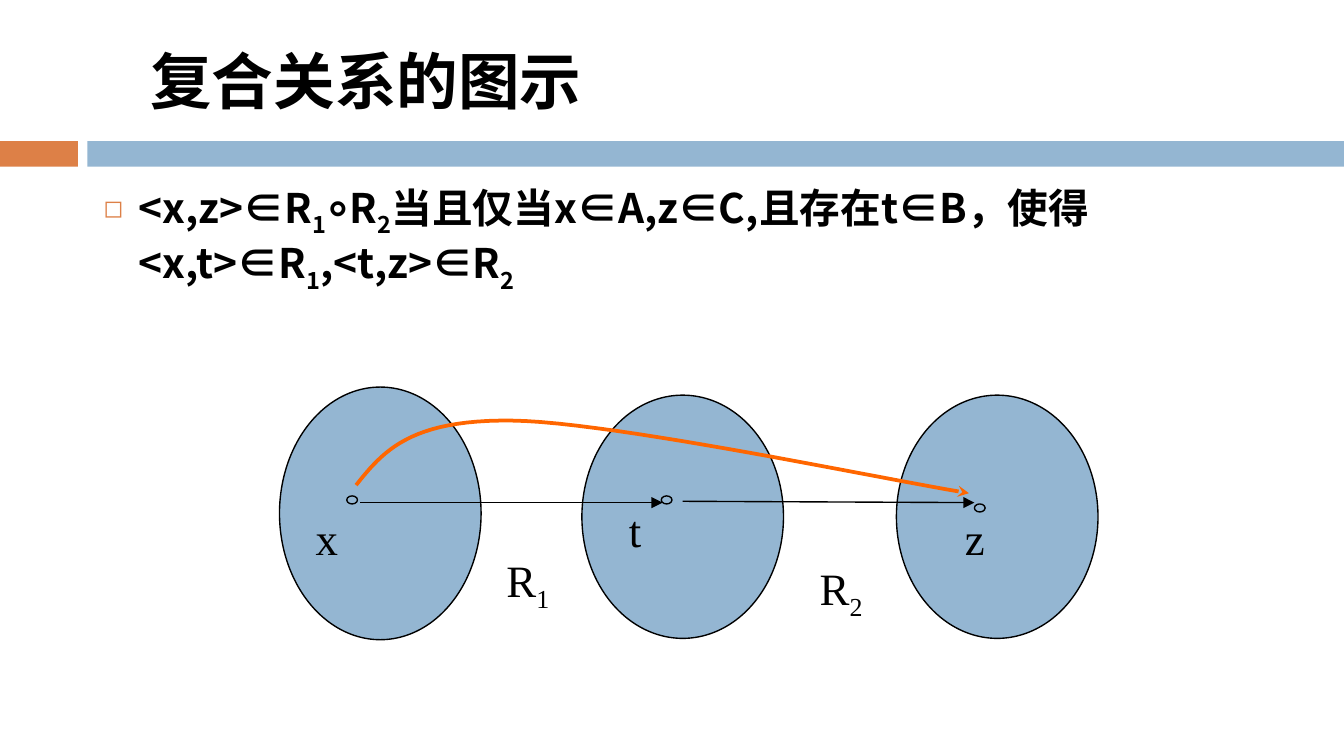
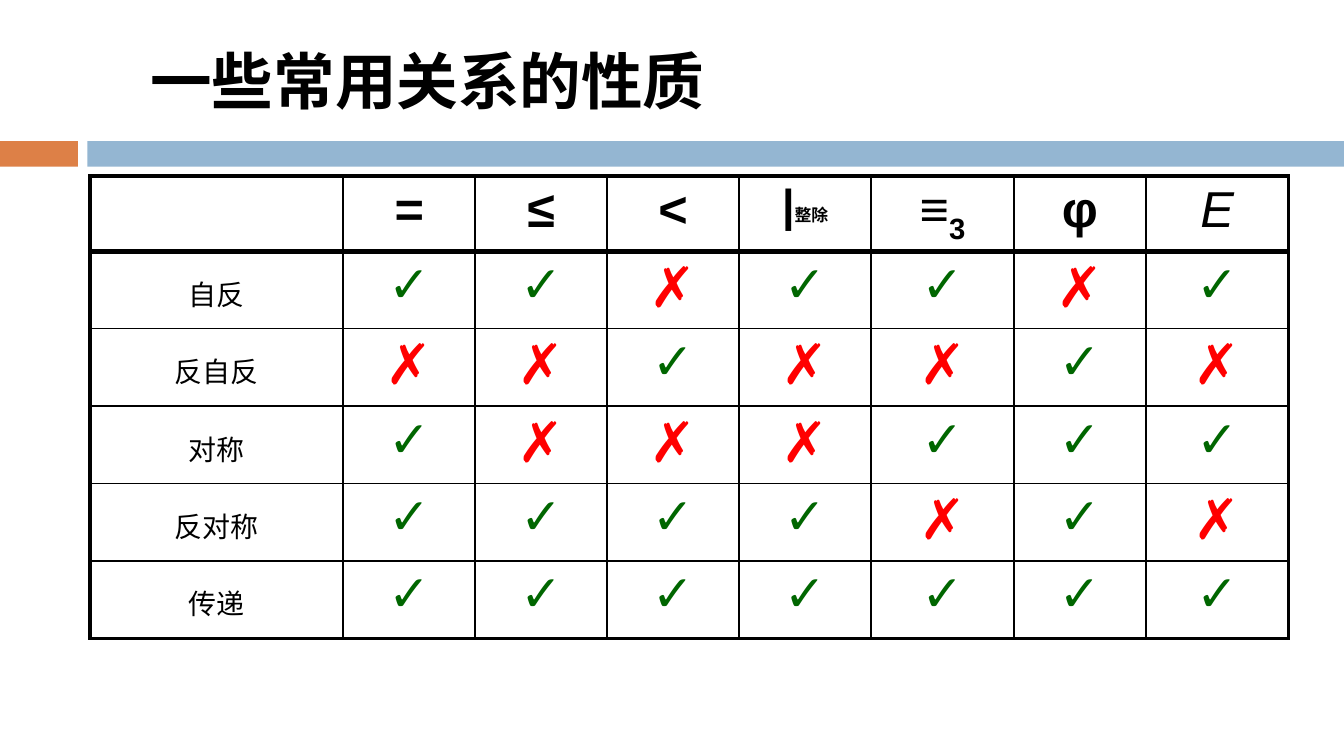
from dataclasses import dataclass

from lxml import etree
from pptx import Presentation
from pptx.dml.color import RGBColor
from pptx.enum.shapes import MSO_CONNECTOR, MSO_SHAPE
from pptx.enum.text import MSO_ANCHOR, MSO_AUTO_SIZE, PP_ALIGN
from pptx.oxml.ns import qn
from pptx.util import Inches, Pt

RECTANGLE, ELLIPSE = MSO_SHAPE.RECTANGLE, MSO_SHAPE.OVAL
STRAIGHT = MSO_CONNECTOR.STRAIGHT
TOP, MIDDLE = MSO_ANCHOR.TOP, MSO_ANCHOR.MIDDLE
LEFT, CENTER = PP_ALIGN.LEFT, PP_ALIGN.CENTER
GROW, FIXED = MSO_AUTO_SIZE.SHAPE_TO_FIT_TEXT, MSO_AUTO_SIZE.NONE


@dataclass(frozen=True)
class Theme:
    """Colours, fonts, type sizes and line widths of the deck."""
    ink: str = "000000"
    blue: str = "94B6D2"
    orange: str = "DD8047"
    curve: str = "FF6600"
    yes: str = "006600"
    no: str = "FF0000"
    heading_font: str = "Noto Sans CJK SC"
    label_font: str = "Times New Roman"
    table_font: str = "Arial"
    title: float = 33
    body: float = 21.8
    label: float = 24
    symbol: float = 27
    divides: float = 24
    note: float = 9
    row_name: float = 15
    cross: float = 30
    thin: float = 0.75
    curve_width: float = 2
    grid: float = 1
    frame: float = 2.25
    header_rule: float = 3


THEME = Theme()

SLIDE_WIDTH = 10
HEADERS = ["=", "≤", "<", "|", "≡_3", "φ", "E"]
PROPERTIES = [
    ("自反", "✓✓✗✓✓✗✓"),
    ("反自反", "✗✗✓✗✗✓✗"),
    ("对称", "✓✗✗✗✓✓✓"),
    ("反对称", "✓✓✓✓✗✓✗"),
    ("传递", "✓✓✓✓✓✓✓"),
]
COLUMN_WEIGHTS = [1.88, 0.98, 0.98, 0.98, 0.98, 1.06, 0.98, 1.06]
TABLE_WIDTH, TABLE_HEIGHT, HEADER_HEIGHT = 8.92, 3.42, 0.54


def inches(*lengths):
    """Turn numbers into lengths."""
    return [Inches(length) for length in lengths]


def style_span(span, font, size, color, bold=False, italic=False, east_font=None):
    """Set the type of one run for Latin and East Asian text."""
    span.font.name = font
    span.font.size = Pt(size)
    span.font.bold = bold
    span.font.italic = italic
    span.font.color.rgb = RGBColor.from_string(color)
    latin = span.font._element.find(qn("a:latin"))
    latin.addnext(latin.makeelement(qn("a:ea"), {"typeface": east_font or font}))


def write(para, text, font, size, color=THEME.ink, **style):
    """Add text in which underscores enclose subscripts."""
    for index, piece in enumerate(text.split("_")):
        if piece:
            span = para.add_run()
            span.text = piece
            style_span(span, font, size, color, **style)
            if index % 2:
                span.font._element.set("baseline", "-25000")


def space_before(para, percent):
    """Set the space above a paragraph as a share of its line."""
    props = para._p.get_or_add_pPr()
    space = props.makeelement(qn("a:spcBef"), {})
    etree.SubElement(space, qn("a:spcPct"), val=str(percent * 1000))
    props.insert(0, space)


def add_text_box(page, left, top, width, height, anchor=TOP, fit=FIXED):
    """Add a wrapping text box and return its first paragraph."""
    frame = page.shapes.add_textbox(*inches(left, top, width, height)).text_frame
    frame.word_wrap = True
    frame.auto_size = fit
    frame.vertical_anchor = anchor
    return frame.paragraphs[0]


def add_filled_shape(page, kind, left, top, width, height, fill, outlined=False):
    """Add a flat preset shape with an optional thin outline."""
    shape = page.shapes.add_shape(kind, *inches(left, top, width, height))
    shape.shadow.inherit = False
    shape.fill.solid()
    shape.fill.fore_color.rgb = RGBColor.from_string(fill)
    if outlined:
        style_line(shape.line, THEME.ink, THEME.thin)
    else:
        shape.line.fill.background()


def style_line(line, color, width, arrow=None):
    """Set colour, width and the arrowhead at the end of a line."""
    line.color.rgb = RGBColor.from_string(color)
    line.width = Pt(width)
    if arrow:
        etree.SubElement(line._get_or_add_ln(), qn("a:tailEnd"), type=arrow)


def add_page(deck, title):
    """Add a page with the two bands and a title."""
    page = deck.slides.add_slide(deck.slide_layouts[6])
    add_filled_shape(page, RECTANGLE, 0, 1.05, 0.58, 0.19, THEME.orange)
    add_filled_shape(page, RECTANGLE, 0.65, 1.05, 9.35, 0.19, THEME.blue)
    para = add_text_box(page, 1.02, 0.19, 8, 0.81, anchor=MIDDLE)
    write(para, title, THEME.heading_font, THEME.title, bold=True)
    return page


def add_bullet(page, text):
    """Add the body text with a hollow square bullet."""
    para = add_text_box(page, 0.67, 1.31, 8.92, 3.69)
    para.alignment = LEFT
    para.space_before = Pt(5.2)
    props = para._p.get_or_add_pPr()
    props.set("marL", str(Inches(0.26)))
    props.set("indent", str(-Inches(0.26)))
    color = etree.SubElement(props, qn("a:buClr"))
    etree.SubElement(color, qn("a:srgbClr"), val=THEME.orange)
    etree.SubElement(props, qn("a:buSzPct"), val="60000")
    etree.SubElement(props, qn("a:buChar"), char="◻")
    write(para, text, THEME.heading_font, THEME.body, bold=True)


def add_label(page, text, left, top, width=0.58):
    """Add a label of the diagram."""
    para = add_text_box(page, left, top, width, 0.51, fit=GROW)
    space_before(para, 50)
    write(para, text, THEME.label_font, THEME.label)


def add_arrow(page, start, end):
    """Add a thin straight arrow."""
    arrow = page.shapes.add_connector(STRAIGHT, *inches(*start, *end))
    style_line(arrow.line, THEME.ink, THEME.thin, "triangle")
    etree.SubElement(arrow._element.spPr, qn("a:effectLst"))


def bezier(points, steps=24):
    """Return points along a cubic curve, without its start."""
    weights = (1, 3, 3, 1)
    return [
        inches(*(
            sum(weight * (1 - t) ** (3 - power) * t ** power * point[axis]
                for power, (weight, point) in enumerate(zip(weights, points)))
            for axis in (0, 1)
        ))
        for t in (step / steps for step in range(1, steps + 1))
    ]


def add_curve(page, start, *segments):
    """Add a curved arrow made of joined cubic segments."""
    builder = page.shapes.build_freeform(*inches(*start))
    for segment in segments:
        builder.add_line_segments(bezier((start, *segment)), close=False)
        start = segment[-1]
    curve = builder.convert_to_shape()
    curve.shadow.inherit = False
    curve.fill.background()
    style_line(curve.line, THEME.curve, THEME.curve_width, "stealth")


def set_borders(cell, **widths):
    """Draw the four borders of a cell at the given widths."""
    props = cell._tc.get_or_add_tcPr()
    for index, side in enumerate("LRTB"):
        line = props.makeelement(qn("a:ln" + side), {"w": str(Pt(widths[side]))})
        fill = etree.SubElement(line, qn("a:solidFill"))
        etree.SubElement(fill, qn("a:srgbClr"), val=THEME.ink)
        props.insert(index, line)


def format_cell(cell, row, column, last_row, last_column):
    """Set fill, insets and borders by the place of a cell."""
    cell.fill.background()
    cell.margin_left = cell.margin_right = Inches(0.11)
    cell.margin_top = Inches(0.16 if row and not column else 0.04)
    cell.margin_bottom = Inches(0.04)
    above = {0: THEME.frame, 1: THEME.header_rule}
    below = {0: THEME.header_rule, last_row: THEME.frame}
    set_borders(
        cell,
        L=THEME.grid if column else THEME.frame,
        R=THEME.frame if column == last_column else THEME.grid,
        T=above.get(row, THEME.grid),
        B=below.get(row, THEME.grid),
    )


def write_cell(cell, text, size, percent, color=THEME.ink, **style):
    """Write centred text into a cell and return its paragraph."""
    para = cell.text_frame.paragraphs[0]
    para.alignment = CENTER
    space_before(para, percent)
    write(para, text, THEME.table_font, size, color, **style)
    return para


def write_header(cell, text):
    """Write a relation symbol into the header row."""
    size = THEME.divides if text == "|" else THEME.symbol
    para = write_cell(cell, text, size, 170, bold=text != "E", italic=text == "E")
    if text == "|":
        write(para, "整除", THEME.table_font, THEME.note, bold=True)


def write_mark(cell, mark):
    """Write a green tick or a red cross."""
    size, color = {
        "✓": (THEME.symbol, THEME.yes),
        "✗": (THEME.cross, THEME.no),
    }[mark]
    write_cell(cell, mark, size, 20, color, bold=True)


def add_property_table(page):
    """Add the table of relations and their properties."""
    rows, columns = len(PROPERTIES) + 1, len(COLUMN_WEIGHTS)
    table = page.shapes.add_table(
        rows, columns, *inches(0.67, 1.31, TABLE_WIDTH, TABLE_HEIGHT)).table
    table.first_row = table.horz_banding = False
    for column, weight in zip(table.columns, COLUMN_WEIGHTS):
        column.width = Inches(TABLE_WIDTH * weight / sum(COLUMN_WEIGHTS))
    body_height = (TABLE_HEIGHT - HEADER_HEIGHT) / len(PROPERTIES)
    for index, row in enumerate(table.rows):
        row.height = Inches(body_height if index else HEADER_HEIGHT)
        for column, cell in enumerate(row.cells):
            format_cell(cell, index, column, rows - 1, columns - 1)
    for column, text in enumerate(HEADERS, 1):
        write_header(table.cell(0, column), text)
    for row, (name, marks) in enumerate(PROPERTIES, 1):
        write_cell(table.cell(row, 0), name, THEME.row_name, 40,
                   east_font=THEME.heading_font)
        for column, mark in enumerate(marks, 1):
            write_mark(table.cell(row, column), mark)


def add_composition_diagram(page):
    """Add three sets, their elements and the relations between them."""
    for left, top, height in ((2.08, 2.88, 1.88), (4.33, 2.94, 1.81), (6.67, 2.94, 1.81)):
        add_filled_shape(page, ELLIPSE, left, top, 1.5, height, THEME.blue, outlined=True)
    elements = (("x", 2.58, 3.69, 2.25, 3.75),
                ("t", 4.92, 3.69, 4.58, 3.69),
                ("z", 7.25, 3.75, 7.08, 3.75))
    for name, left, top, label_left, label_top in elements:
        add_filled_shape(page, ELLIPSE, left, top, 0.08, 0.06, THEME.blue, outlined=True)
        add_label(page, name, label_left, label_top)
    add_arrow(page, (2.68, 3.74), (4.93, 3.74))
    add_arrow(page, (5.08, 3.73), (7.25, 3.74))
    add_label(page, "R_1", 3.67, 4.06, width=0.75)
    add_label(page, "R_2", 6, 4.12)
    add_curve(page, (2.65, 3.61),
              ((2.85, 3.36), (3.05, 3.12), (3.81, 3.13)),
              ((4.57, 3.14), (6.64, 3.58), (7.21, 3.67)))


def main():
    """Build and save the deck."""
    deck = Presentation()
    deck.slide_width, deck.slide_height = inches(SLIDE_WIDTH, SLIDE_WIDTH * 9 / 16)
    page = add_page(deck, "复合关系的图示")
    add_bullet(page, "<x,z>∈R_1_⸰R_2_当且仅当x∈A,z∈C,且存在t∈B，使得<x,t>∈R_1_,<t,z>∈R_2")
    add_composition_diagram(page)
    add_property_table(add_page(deck, "一些常用关系的性质"))
    deck.save("out.pptx")


if __name__ == "__main__":
    main()
